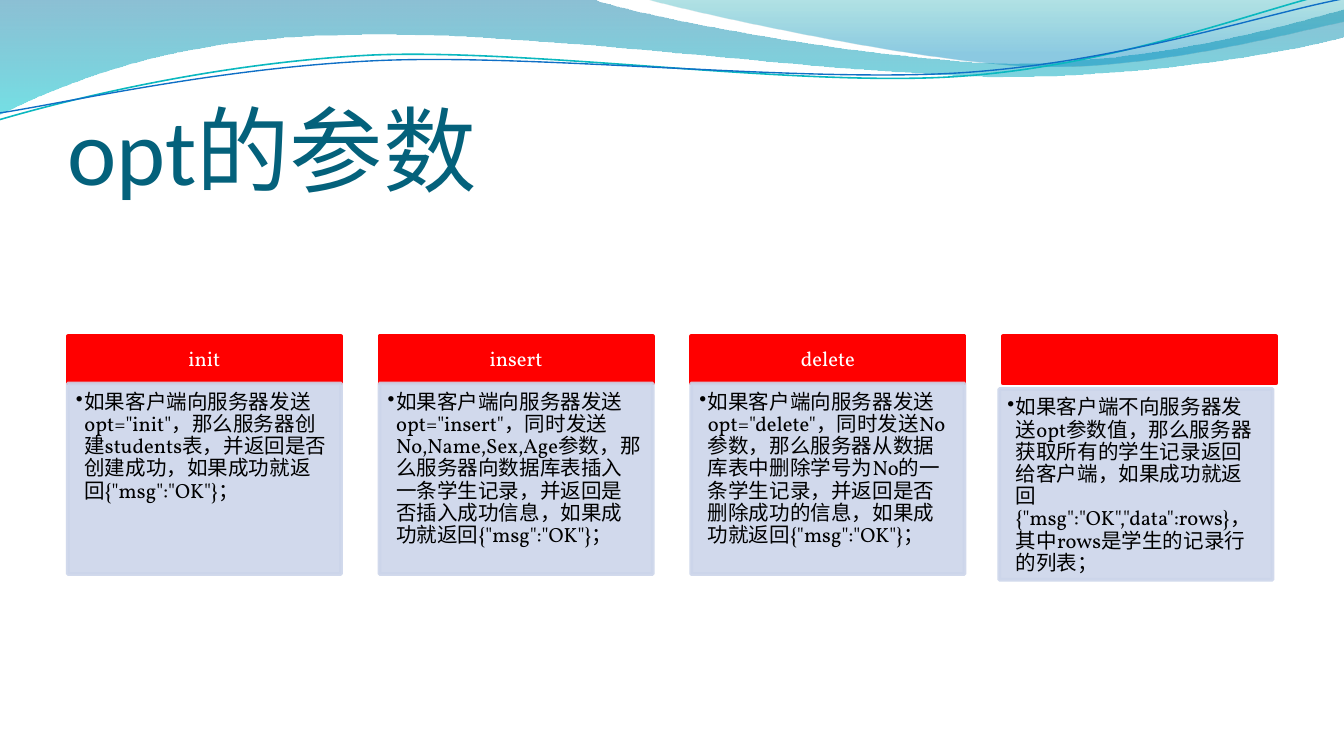
from pptx import Presentation
from pptx.dml.color import RGBColor
from pptx.enum.shapes import MSO_SHAPE
from pptx.enum.text import MSO_ANCHOR, PP_ALIGN
from pptx.oxml.ns import qn
from pptx.util import Pt
from lxml.etree import SubElement

RED, PALE = "FF0000", "CCD5EA"

BANDS = [
    ([(0, 0), (4.4, -0.01),
      (4.76, 0.13, 6.64, 0.47, 7.58, 0.47), (8.53, 0.47, 9.58, 0.19, 10, 0.07),
      (10.01, 0.27),
      (9.83, 0.33, 8.7, 0.57, 7.46, 0.57), (6.22, 0.56, 3.82, 0.21, 2.57, 0.26),
      (1.29, 0.27, 0.46, 0.62, -0.01, 0.85), (0, 0)],
     [(0, "0074A1", 45), (1, "00C6CF", 55)]),
    ([(4.79, -0.01),
      (5.09, 0.08, 6.82, 0.46, 7.69, 0.49), (8.56, 0.52, 9.61, 0.24, 10, 0.16),
      (10, 0), (4.79, -0.01)],
     [(0, "00A1A9", 30), (0.8, "008BBF", 45)]),
]
STRANDS = [
    ([(0, 0.89), (0.48, 0.75, 1.58, 0.47, 2.77, 0.41),
      (3.96, 0.36, 5.92, 0.65, 7.12, 0.57), (8.33, 0.49, 9.39, 0.06, 9.98, -0.07)],
     "0AB8BF", 0.85),
    ([(0, 0.84), (0.47, 0.77, 1.64, 0.5, 2.83, 0.45),
      (4.03, 0.4, 5.97, 0.62, 7.17, 0.54), (8.36, 0.46, 9.41, 0.1, 10, -0.01)],
     "0F6FC6", 0.75),
]
OPTIONS = [
    ("init", '如果客户端向服务器发送opt="init"，那么服务器创建students表，'
             '并返回是否创建成功，如果成功就返回{"msg":"OK"}；'),
    ("insert", '如果客户端向服务器发送opt="insert"，同时发送No,Name,Sex,Age参数，'
               '那么服务器向数据库表插入一条学生记录，并返回是否插入成功信息，'
               '如果成功就返回{"msg":"OK"}；'),
    ("delete", '如果客户端向服务器发送opt="delete"，同时发送No参数，'
               '那么服务器从数据库表中删除学号为No的一条学生记录，'
               '并返回是否删除成功的信息，如果成功就返回{"msg":"OK"}；'),
    ("", '如果客户端不向服务器发送opt参数值，那么服务器获取所有的学生记录返回给客户端，'
         '如果成功就返回{"msg":"OK","data":rows}，其中rows是学生的记录行的列表；'),
]


def colour(hex_code):
    return RGBColor.from_string(hex_code)


def set_opacity(shape, percents):
    for tint, percent in zip(shape._element.spPr.iter(qn("a:srgbClr")), percents):
        SubElement(tint, qn("a:alpha"), val=str(percent * 1000))


def add_curve(slide, segments, unit, close):
    scaled = [[Pt(value * unit) for value in segment] for segment in segments]
    ends = [segment[-2:] for segment in scaled]
    builder = slide.shapes.build_freeform(*ends[0])
    builder.add_line_segments(ends[1:], close=close)
    curve = builder.convert_to_shape()
    curve.shadow.inherit = False
    strokes = list(curve._element.spPr.iter(qn("a:lnTo")))
    for stroke, segment in zip(strokes, scaled[1:]):
        if len(segment) == 6:
            stroke.tag = qn("a:cubicBezTo")
            stroke.remove(stroke[0])
            for x, y in zip(segment[::2], segment[1::2]):
                SubElement(stroke, qn("a:pt"), x=str(x - curve.left), y=str(y - curve.top))
    return curve


def add_waves(slide, width):
    unit = width / 10
    for segments, stops in BANDS:
        band = add_curve(slide, segments, unit, True)
        band.line.fill.background()
        band.fill.gradient()
        band.fill.gradient_angle = 270
        for stop, (position, tint, _) in zip(band.fill.gradient_stops, stops):
            stop.position = position
            stop.color.rgb = colour(tint)
        set_opacity(band, [opacity for _, _, opacity in stops])
    for segments, tint, weight in STRANDS:
        strand = add_curve(slide, segments, unit, False)
        strand.fill.background()
        strand.line.color.rgb = colour(tint)
        strand.line.width = Pt(weight)


def add_run(paragraph, text, font, size, tint):
    run = paragraph.add_run()
    run.text = text
    run.font.name = font
    run.font.size = Pt(size)
    run.font.color.rgb = colour(tint)


def set_insets(frame, left, top, right, bottom):
    frame.margin_left, frame.margin_top = Pt(left), Pt(top)
    frame.margin_right, frame.margin_bottom = Pt(right), Pt(bottom)


def fill_title(slide, left, top, width, height):
    title = slide.shapes.title
    title.left, title.top, title.width, title.height = map(Pt, (left, top, width, height))
    frame = title.text_frame
    frame.vertical_anchor = MSO_ANCHOR.BOTTOM
    set_insets(frame, 0, 3.6, 0, 0)
    frame.paragraphs[0].alignment = PP_ALIGN.LEFT
    add_run(frame.paragraphs[0], "opt的参数", "Calibri", 50, "04617B")


def add_panel(slide, left, top, width, height, tint):
    panel = slide.shapes.add_shape(MSO_SHAPE.RECTANGLE, *map(Pt, (left, top, width, height)))
    panel.shadow.inherit = False
    panel.fill.solid()
    panel.fill.fore_color.rgb = colour(tint)
    panel.line.color.rgb = colour(tint)
    panel.line.width = Pt(2)
    panel.text_frame.word_wrap = True
    panel.text_frame.paragraphs[0].line_spacing = 0.9
    return panel


def add_header(slide, name, left, top, width, height):
    header = add_panel(slide, left, top, width, height, RED)
    if name:
        frame = header.text_frame
        frame.vertical_anchor = MSO_ANCHOR.MIDDLE
        frame.paragraphs[0].alignment = PP_ALIGN.CENTER
        add_run(frame.paragraphs[0], name, "Vollkorn", 11, "FFFFFF")


def add_description(slide, text, left, top, width, height):
    description = add_panel(slide, left, top, width, height, PALE)
    set_opacity(description, [90, 90])
    frame = description.text_frame
    frame.vertical_anchor = MSO_ANCHOR.TOP
    set_insets(frame, 4.4, 4.4, 6.2, 7)
    paragraph = frame.paragraphs[0]
    paragraph.alignment = PP_ALIGN.LEFT
    paragraph.level = 1
    properties = paragraph._p.get_or_add_pPr()
    properties.set("marL", str(Pt(4.5)))
    properties.set("indent", str(-Pt(4.5)))
    SubElement(properties, qn("a:buChar"), char="••")
    add_run(paragraph, text, "Vollkorn", 11, "000000")


def add_options(slide, left, top, width, height):
    column, header_height = 146.4, 25.2
    pitch = (width - column) / (len(OPTIONS) - 1)
    for index, (name, text) in enumerate(OPTIONS):
        x = left + index * pitch
        shift_x, shift_y = (0, 0) if name else (-2, 3)
        add_header(slide, name, x, top, column, header_height)
        add_description(slide, text, x + shift_x, top + header_height + shift_y,
                        column, height - header_height)


def main():
    presentation = Presentation()
    presentation.slide_width, presentation.slide_height = Pt(720), Pt(405)
    slide = presentation.slides.add_slide(presentation.slide_layouts[5])
    add_waves(slide, 720)
    fill_title(slide, 36, 42, 648, 67.5)
    add_options(slide, 36.3, 180.2, 647.4, 127.4)
    presentation.save("out.pptx")


if __name__ == "__main__":
    main()
